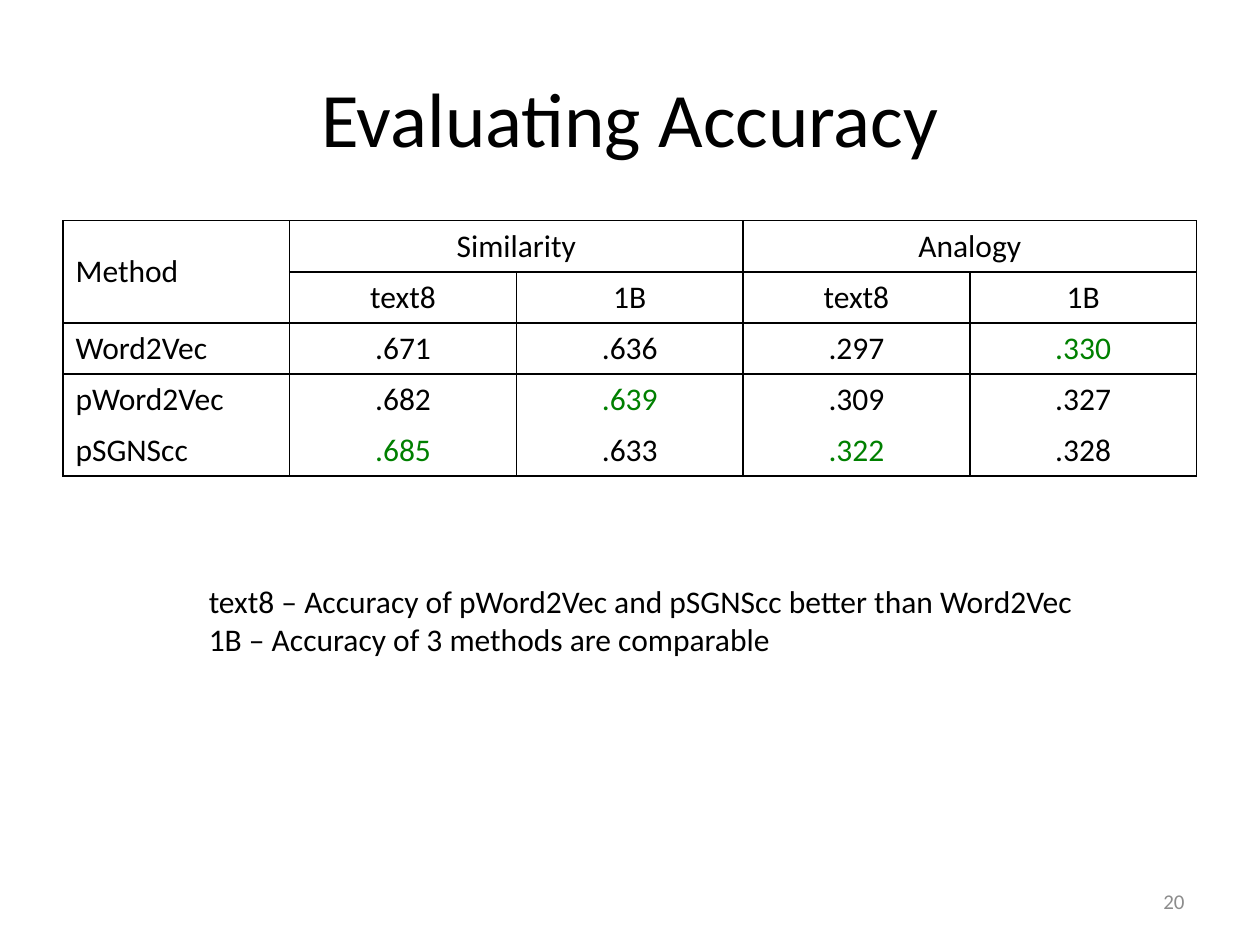
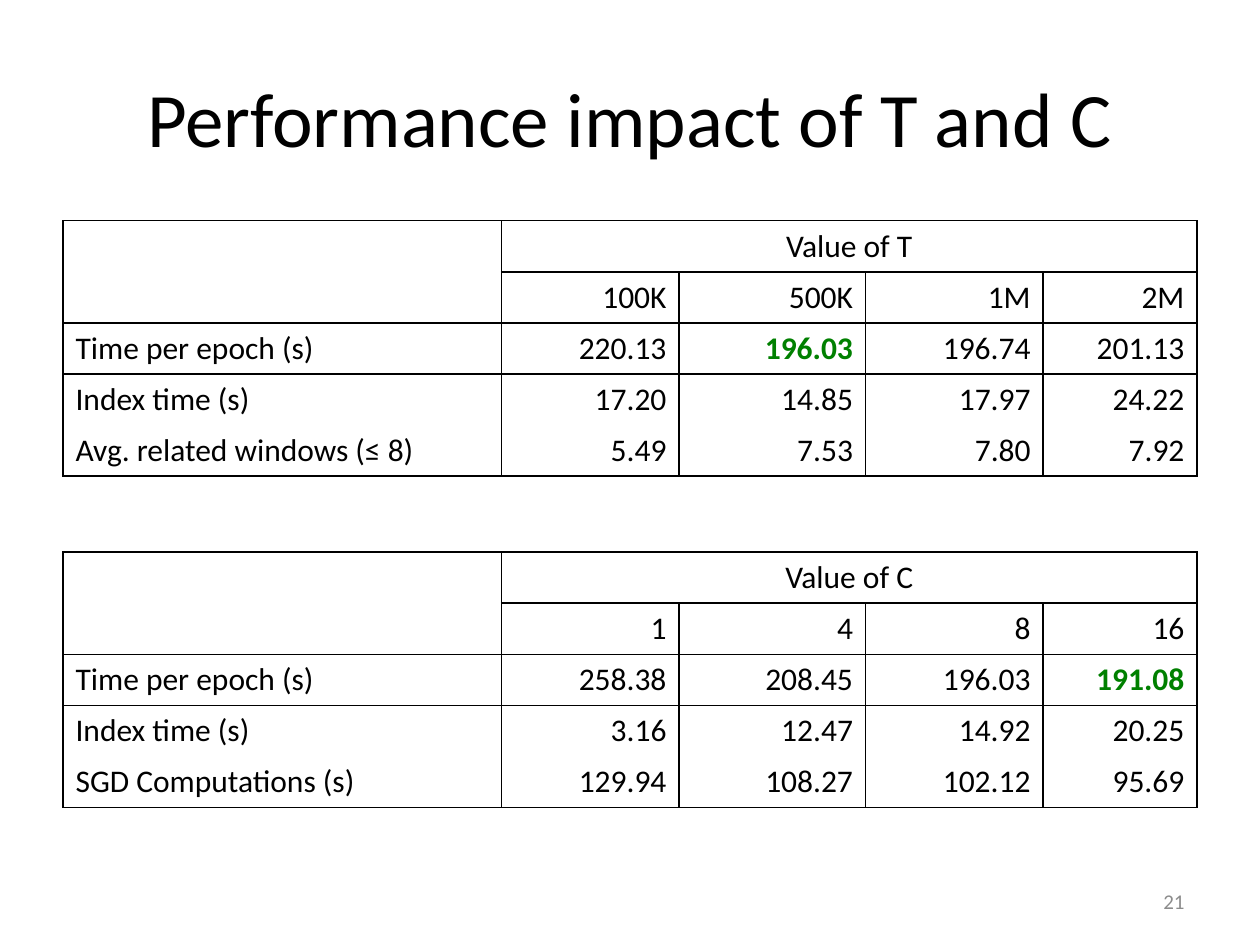
import pptx
import pptx.dml.color
import pptx.enum.text
import pptx.oxml
import pptx.oxml.ns
import pptx.util
from pptx.util import Cm

COLORS = {"text": "000000", "best": "008000", "border": "000000", "page": "8C8C8C"}
FONT = "Calibri"
LEFT = Cm(1.27)
CONTENT_WIDTH = Cm(22.86)
ROW_HEIGHT = Cm(1.03)
FIRST_TABLE_TOP = Cm(4.45)
SECOND_TABLE_TOP = Cm(11.13)
ACCURACY_COLUMNS = [Cm(4.57)] * 5
TIMING_COLUMNS = [Cm(width) for width in (8.84, 3.58, 3.76, 3.58, 3.1)]
ALIGN = pptx.enum.text.PP_ALIGN
MIDDLE = pptx.enum.text.MSO_ANCHOR.MIDDLE


def write_text(frame, text, size=18, color="text", bold=False, align=ALIGN.LEFT):
    frame.text = text
    for paragraph in frame.paragraphs:
        paragraph.alignment = align
        font = paragraph.font
        for run in paragraph.runs:
            font = run.font
            font.name = FONT
            font.bold = bold
            font.color.rgb = pptx.dml.color.RGBColor.from_string(COLORS[color])
        font.size = pptx.util.Pt(size)


def add_text_box(slide, text, left, top, width, height, anchor=None, **text_format):
    frame = slide.shapes.add_textbox(left, top, width, height).text_frame
    frame.word_wrap = False
    frame.vertical_anchor = anchor
    write_text(frame, text, **text_format)


def add_titled_slide(presentation, title, number):
    slide = presentation.slides.add_slide(presentation.slide_layouts[5])
    shape = slide.shapes.title
    shape.left, shape.top, shape.width, shape.height = LEFT, Cm(0.76), CONTENT_WIDTH, Cm(3.18)
    shape.text_frame.vertical_anchor = MIDDLE
    write_text(shape.text_frame, title, size=44, align=ALIGN.CENTER)
    add_text_box(slide, str(number), Cm(18.21), Cm(17.65), Cm(5.92), Cm(1.02),
                 anchor=MIDDLE, size=12, color="page", align=ALIGN.RIGHT)
    return slide


def set_borders(cell, hidden=""):
    properties = cell._tc.get_or_add_tcPr()
    for position, side in enumerate("LRTB"):
        fill = "<a:noFill/>" if side in hidden else (
            f'<a:solidFill><a:srgbClr val="{COLORS["border"]}"/></a:solidFill>')
        line = pptx.oxml.parse_xml(
            f'<a:ln{side} {pptx.oxml.ns.nsdecls("a")} w="12700">{fill}</a:ln{side}>')
        properties.insert(position, line)


def add_results_table(slide, top, column_widths, corner, groups, rows, best,
                      align=ALIGN.CENTER, bold_best=False):
    row_count = len(rows) + 1
    table = slide.shapes.add_table(row_count, len(column_widths), LEFT, top,
                                   CONTENT_WIDTH, ROW_HEIGHT * row_count).table
    table.first_row = False
    table.horz_banding = False
    for column, width in zip(table.columns, column_widths):
        column.width = width
    for row in table.rows:
        row.height = ROW_HEIGHT

    last = row_count - 1
    for row_index in range(row_count):
        hidden = {last - 1: "B", last: "T"}.get(row_index, "")
        for column_index in range(len(column_widths)):
            cell = table.cell(row_index, column_index)
            cell.fill.background()
            set_borders(cell, hidden)

    table.cell(0, 0).merge(table.cell(1, 0))
    table.cell(0, 0).vertical_anchor = MIDDLE
    write_text(table.cell(0, 0).text_frame, corner)
    span = (len(column_widths) - 1) // len(groups)
    for index, group in enumerate(groups):
        start = 1 + index * span
        table.cell(0, start).merge(table.cell(0, start + span - 1))
        write_text(table.cell(0, start).text_frame, group, align=ALIGN.CENTER)

    for row_index, (label, *values) in enumerate(rows, 1):
        if label:
            write_text(table.cell(row_index, 0).text_frame, label)
        for column_index, value in enumerate(values, 1):
            is_best = (label, column_index) in best
            write_text(table.cell(row_index, column_index).text_frame, value, align=align,
                       color="best" if is_best else "text", bold=is_best and bold_best)


def add_timing_table(slide, top, parameter, rows, best_column):
    add_results_table(slide, top, TIMING_COLUMNS, "", [f"Value of {parameter}"], rows,
                      {("Time per epoch (s)", best_column)}, align=ALIGN.RIGHT, bold_best=True)


def main():
    presentation = pptx.Presentation()
    presentation.slide_width = Cm(25.4)
    presentation.slide_height = Cm(19.05)

    accuracy = add_titled_slide(presentation, "Evaluating Accuracy", 20)
    add_results_table(
        accuracy, FIRST_TABLE_TOP, ACCURACY_COLUMNS, "Method", ["Similarity", "Analogy"],
        [("", "text8", "1B", "text8", "1B"),
         ("Word2Vec", ".671", ".636", ".297", ".330"),
         ("pWord2Vec", ".682", ".639", ".309", ".327"),
         ("pSGNScc", ".685", ".633", ".322", ".328")],
        {("Word2Vec", 4), ("pWord2Vec", 2), ("pSGNScc", 1), ("pSGNScc", 3)})
    add_text_box(accuracy,
                 "text8 – Accuracy of pWord2Vec and pSGNScc better than Word2Vec\n"
                 "1B – Accuracy of 3 methods are comparable",
                 Cm(3.96), Cm(11.61), Cm(18.26), Cm(1.8))

    performance = add_titled_slide(presentation, "Performance impact of T and C", 21)
    add_timing_table(
        performance, FIRST_TABLE_TOP, "T",
        [("", "100K", "500K", "1M", "2M"),
         ("Time per epoch (s)", "220.13", "196.03", "196.74", "201.13"),
         ("Index time (s)", "17.20", "14.85", "17.97", "24.22"),
         ("Avg. related windows (≤ 8)", "5.49", "7.53", "7.80", "7.92")], 2)
    add_timing_table(
        performance, SECOND_TABLE_TOP, "C",
        [("", "1", "4", "8", "16"),
         ("Time per epoch (s)", "258.38", "208.45", "196.03", "191.08"),
         ("Index time (s)", "3.16", "12.47", "14.92", "20.25"),
         ("SGD Computations (s)", "129.94", "108.27", "102.12", "95.69")], 4)

    presentation.save("out.pptx")


if __name__ == "__main__":
    main()
